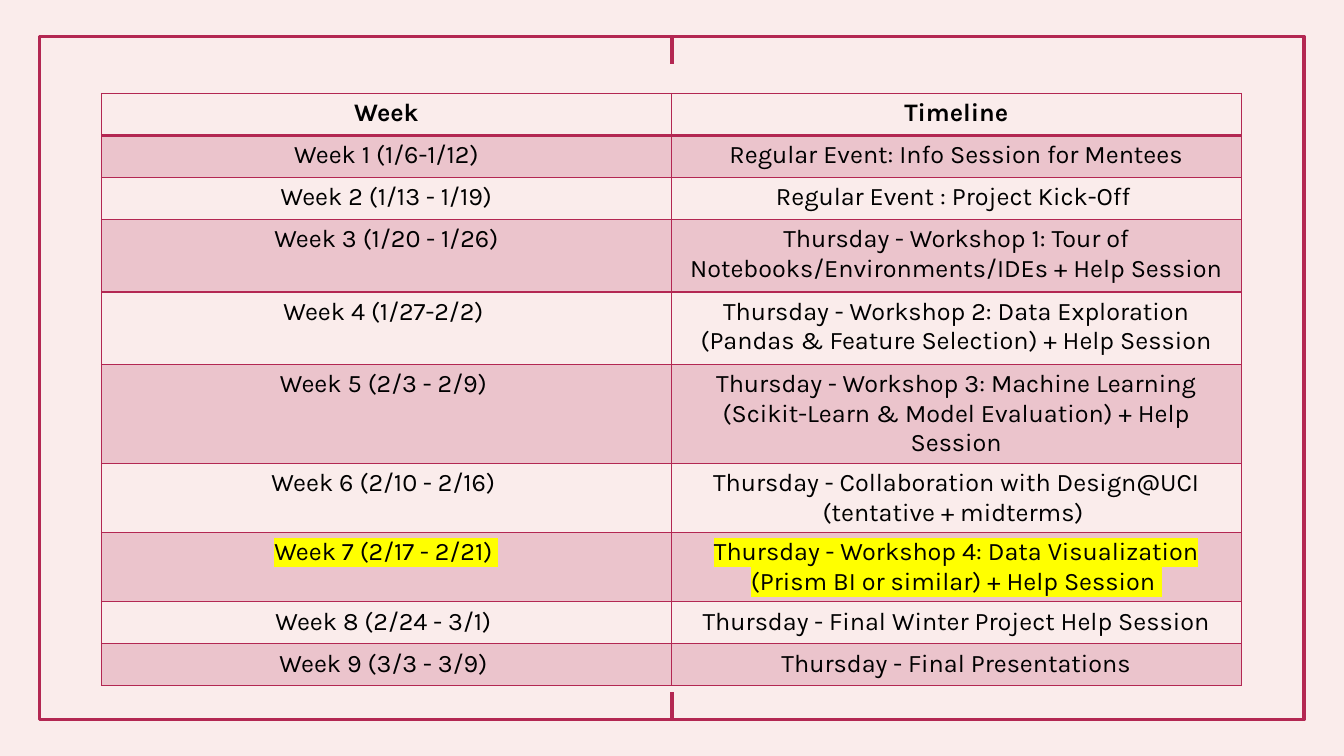
"""Build the weekly project timeline slide."""
import pptx
import pptx.dml.color
import pptx.enum.shapes
import pptx.enum.text
import pptx.oxml
import pptx.oxml.ns
import pptx.util

Pt = pptx.util.Pt
CRIMSON = "B32752"
NAMESPACE = pptx.oxml.ns.nsdecls("a")
SCHEDULE = [
    ("Week", "Timeline"),
    ("Week 1 (1/6-1/12)", "Regular Event: Info Session for Mentees"),
    ("Week 2 (1/13 - 1/19)", "Regular Event : Project Kick-Off "),
    ("Week 3 (1/20 - 1/26)", "Thursday - Workshop 1: Tour of Notebooks/Environments/IDEs + Help Session"),
    ("Week 4 (1/27-2/2) ", "Thursday - Workshop 2: Data Exploration (Pandas & Feature Selection) + Help Session"),
    ("Week 5 (2/3 - 2/9) ", "Thursday - Workshop 3: Machine Learning (Scikit-Learn & Model Evaluation) + Help Session"),
    ("Week 6 (2/10 - 2/16) ", "Thursday - Collaboration with Design@UCI (tentative + midterms) "),
    ("Week 7 (2/17 - 2/21) ", "Thursday - Workshop 4: Data Visualization (Prism BI or similar) + Help Session "),
    ("Week 8 (2/24 - 3/1) ", "Thursday - Final Winter Project Help Session"),
    ("Week 9 (3/3 - 3/9) ", "Thursday - Final Presentations"),
]
TALL_ROWS = (3, 4, 5)
HIGHLIGHTED_ROW = 7


def color(hex_value):
    return pptx.dml.color.RGBColor.from_string(hex_value)


def add_borders(cell, bottom_width):
    properties = cell._tc.get_or_add_tcPr()
    for position, side in enumerate("LRTB"):
        width = Pt(bottom_width if side == "B" else 1)
        border = pptx.oxml.parse_xml(
            f'<a:ln{side} {NAMESPACE} w="{width}"><a:solidFill>'
            f'<a:srgbClr val="{CRIMSON}"/></a:solidFill></a:ln{side}>')
        properties.insert(position, border)


presentation = pptx.Presentation()
presentation.slide_width = Pt(960)
presentation.slide_height = Pt(540)
slide = presentation.slides.add_slide(presentation.slide_layouts[6])
slide.background.fill.solid()
slide.background.fill.fore_color.rgb = color("FAECEB")

frame = slide.shapes.add_shape(
    pptx.enum.shapes.MSO_SHAPE.RECTANGLE, Pt(28.5), Pt(26), Pt(903), Pt(488))
frame.shadow.inherit = False
frame.fill.background()
frame.line.color.rgb = color(CRIMSON)
frame.line.width = Pt(2.25)

for start, end in ((26, 45.5), (494.5, 514)):
    mark = slide.shapes.add_connector(
        pptx.enum.shapes.MSO_CONNECTOR.STRAIGHT, Pt(480), Pt(start), Pt(480), Pt(end))
    mark.line.color.rgb = color(CRIMSON)
    mark.line.width = Pt(2.25)
    mark._element.spPr.append(pptx.oxml.parse_xml(f"<a:effectLst {NAMESPACE}/>"))

table = slide.shapes.add_table(
    len(SCHEDULE), 2, Pt(72.5), Pt(66.8), Pt(814), Pt(406)).table
table.horz_banding = False

for row_index, texts in enumerate(SCHEDULE):
    table.rows[row_index].height = Pt(51.84 if row_index in TALL_ROWS else 30)
    for column_index, text in enumerate(texts):
        cell = table.cell(row_index, column_index)
        if row_index % 2:
            cell.fill.solid()
            cell.fill.fore_color.rgb = color(CRIMSON)
            tint = cell._tc.tcPr.find(".//" + pptx.oxml.ns.qn("a:srgbClr"))
            tint.append(pptx.oxml.parse_xml(f'<a:alpha {NAMESPACE} val="20000"/>'))
        else:
            cell.fill.background()
        add_borders(cell, 2 if row_index == 0 else 1)

        paragraph = cell.text_frame.paragraphs[0]
        paragraph.text = text
        paragraph.alignment = pptx.enum.text.PP_ALIGN.CENTER
        font = paragraph.runs[0].font
        font.name = "Karla"
        font.size = Pt(18)
        font.bold = row_index == 0
        font.color.rgb = color("000000")
        if row_index == HIGHLIGHTED_ROW:
            text_fill = paragraph.runs[0]._r.rPr.find(pptx.oxml.ns.qn("a:solidFill"))
            text_fill.addnext(pptx.oxml.parse_xml(
                f'<a:highlight {NAMESPACE}><a:srgbClr val="FFFF00"/></a:highlight>'))

presentation.save("out.pptx")
